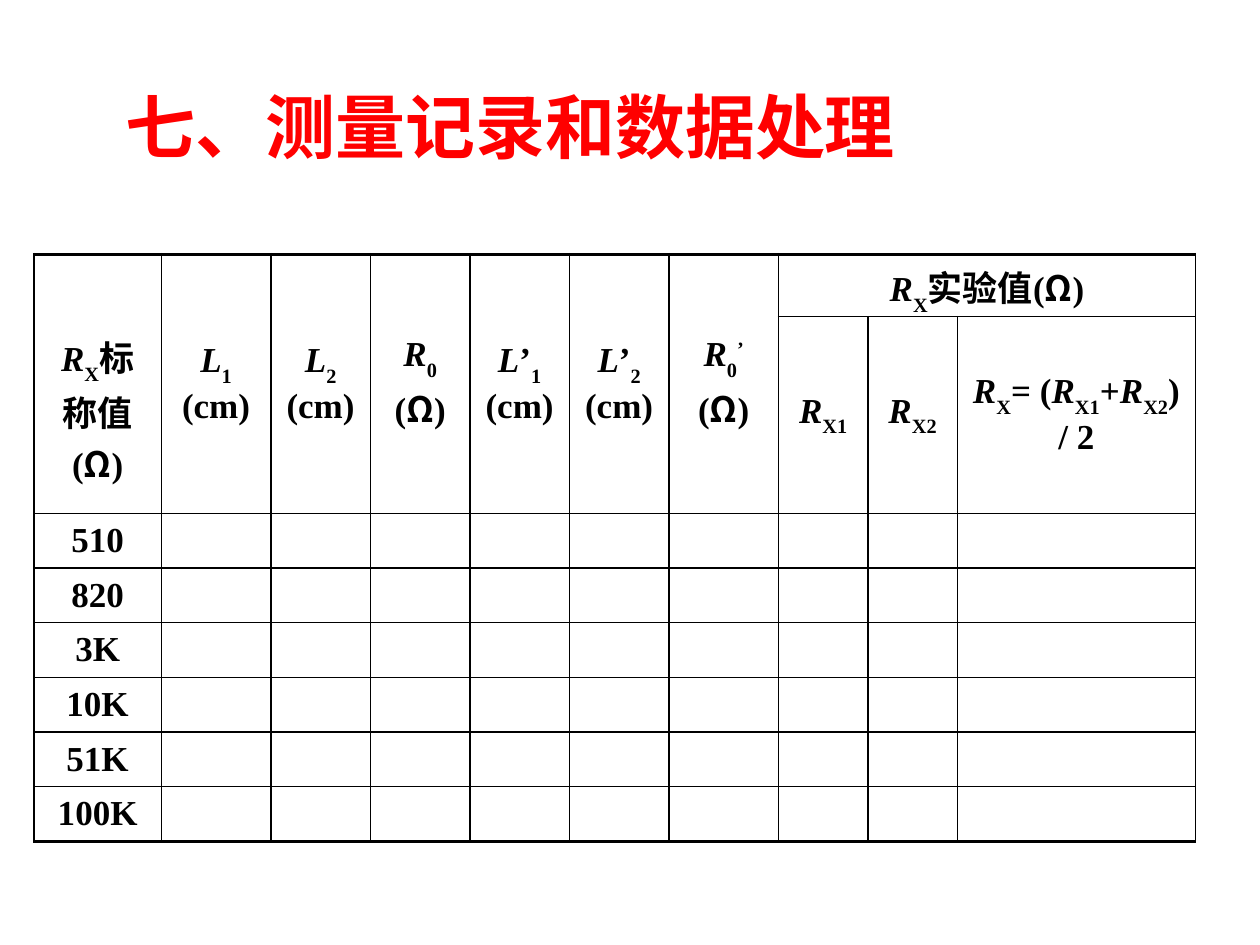
import pptx
import pptx.util
import pptx.dml.color
import pptx.enum.text
import pptx.oxml.ns
from lxml import etree
from pptx.util import Inches

COLORS = {"title": "FF0000", "ink": "000000", "paper": "FFFFFF"}
LATIN, CJK = "Times New Roman", "Noto Sans CJK SC"
SHIFTS = {"sub": "-30000", "sup": "30000"}

OHM = [("(", ""), ("Ω", "cjk"), (")", "")]
CM = [("(cm)", "")]
COLUMNS = [1.01, 0.87] + [0.79] * 4 + [0.87, 0.71, 0.71, 1.89]
ROWS = [0.49, 1.49] + [0.43] * 6
NOMINAL_VALUES = ["510", "820", "3K", "10K", "51K", "100K"]


def symbol(letter, index):
    """Return the runs of an italic letter with a subscript."""
    return [(letter, "italic"), (index, "sub")]


def primed(letter, index):
    """Return the runs of a primed italic letter with a subscript."""
    return [(letter, "italic"), ("’", ""), (index, "sub")]


TALL_HEADS = [
    [symbol("R", "X") + [("标称值", "")], OHM],
    [symbol("L", "1"), CM],
    [symbol("L", "2"), CM],
    [symbol("R", "0"), OHM],
    [primed("L", "1"), CM],
    [primed("L", "2"), CM],
    [symbol("R", "0") + [("’", "sup")], OHM],
]
RESULT_HEAD = symbol("R", "X") + [("实验值", "")] + OHM
RESULT_PARTS = [
    symbol("R", "X1"),
    symbol("R", "X2"),
    symbol("R", "X") + [("= (", "")] + symbol("R", "X1") + [("+", "")]
    + symbol("R", "X2") + [(") / 2", "")],
]


def rgb(name):
    """Return the named colour."""
    return pptx.dml.color.RGBColor.from_string(COLORS[name])


def style_paragraph(para, size, color):
    """Set the bold font shared by the runs of a paragraph."""
    para.font.name = LATIN
    para.font.size = pptx.util.Pt(size)
    para.font.bold = True
    para.font.color.rgb = rgb(color)
    defaults = para._p.pPr.find(pptx.oxml.ns.qn("a:defRPr"))
    etree.SubElement(defaults, pptx.oxml.ns.qn("a:ea"), typeface=CJK)


def write_cell(cell, lines):
    """Write centred lines of styled runs into a cell."""
    frame = cell.text_frame
    for number, runs in enumerate(lines):
        para = frame.add_paragraph() if number else frame.paragraphs[0]
        para.alignment = pptx.enum.text.PP_ALIGN.CENTER
        style_paragraph(para, 20, "ink")
        for text, style in runs:
            span = para.add_run()
            span.text = text
            if style == "italic":
                span.font.italic = True
            elif style == "cjk":
                span.font.name = CJK
            elif style in SHIFTS:
                span.font._element.set("baseline", SHIFTS[style])


def style_cell(cell, widths):
    """Give a cell its borders, fill and anchor."""
    properties = cell._tc.get_or_add_tcPr()
    for side, width in widths.items():
        line = etree.SubElement(properties, pptx.oxml.ns.qn("a:ln" + side),
                                w=str(pptx.util.Pt(width)))
        fill = etree.SubElement(line, pptx.oxml.ns.qn("a:solidFill"))
        etree.SubElement(fill, pptx.oxml.ns.qn("a:srgbClr"), val=COLORS["ink"])
    cell.fill.solid()
    cell.fill.fore_color.rgb = rgb("paper")
    cell.vertical_anchor = pptx.enum.text.MSO_ANCHOR.MIDDLE


def add_title(page, left, top, width, height):
    """Add the heading of the page."""
    box = page.shapes.add_textbox(left, top, width, height)
    frame = box.text_frame
    frame.word_wrap = False
    frame.vertical_anchor = pptx.enum.text.MSO_ANCHOR.MIDDLE
    para = frame.paragraphs[0]
    para.text = "七、测量记录和数据处理"
    style_paragraph(para, 40, "title")


def add_record_table(page, left, top, width, height):
    """Add the measurement table with its two header rows."""
    table = page.shapes.add_table(len(ROWS), len(COLUMNS), left, top, width, height).table
    for column, size in zip(table.columns, COLUMNS):
        column.width = Inches(size)
    for row, size in zip(table.rows, ROWS):
        row.height = Inches(size)

    last_row, last_column = len(ROWS) - 1, len(COLUMNS) - 1
    for row in range(len(ROWS)):
        for column in range(len(COLUMNS)):
            style_cell(table.cell(row, column), {
                "L": 1 if column else 0.75,
                "R": 0.75 if column == last_column else 1,
                "T": 1 if row else 2,
                "B": 2 if row == last_row else 1,
            })

    for column, lines in enumerate(TALL_HEADS):
        table.cell(0, column).merge(table.cell(1, column))
        write_cell(table.cell(0, column), lines)
    table.cell(0, 0).margin_top = Inches(0.45)

    first_result = len(TALL_HEADS)
    table.cell(0, first_result).merge(table.cell(0, last_column))
    write_cell(table.cell(0, first_result), [RESULT_HEAD])
    for column, runs in enumerate(RESULT_PARTS, first_result):
        write_cell(table.cell(1, column), [runs])
    for row, value in enumerate(NOMINAL_VALUES, 2):
        write_cell(table.cell(row, 0), [[(value, "")]])


def main():
    """Build and save the deck."""
    deck = pptx.Presentation()
    deck.slide_width, deck.slide_height = Inches(10), Inches(7.5)
    page = deck.slides.add_slide(deck.slide_layouts[6])
    add_title(page, Inches(0.9), Inches(0.61), Inches(6.33), Inches(0.77))
    add_record_table(page, Inches(0.27), Inches(2.02),
                     Inches(sum(COLUMNS)), Inches(sum(ROWS)))
    deck.save("out.pptx")


if __name__ == "__main__":
    main()
